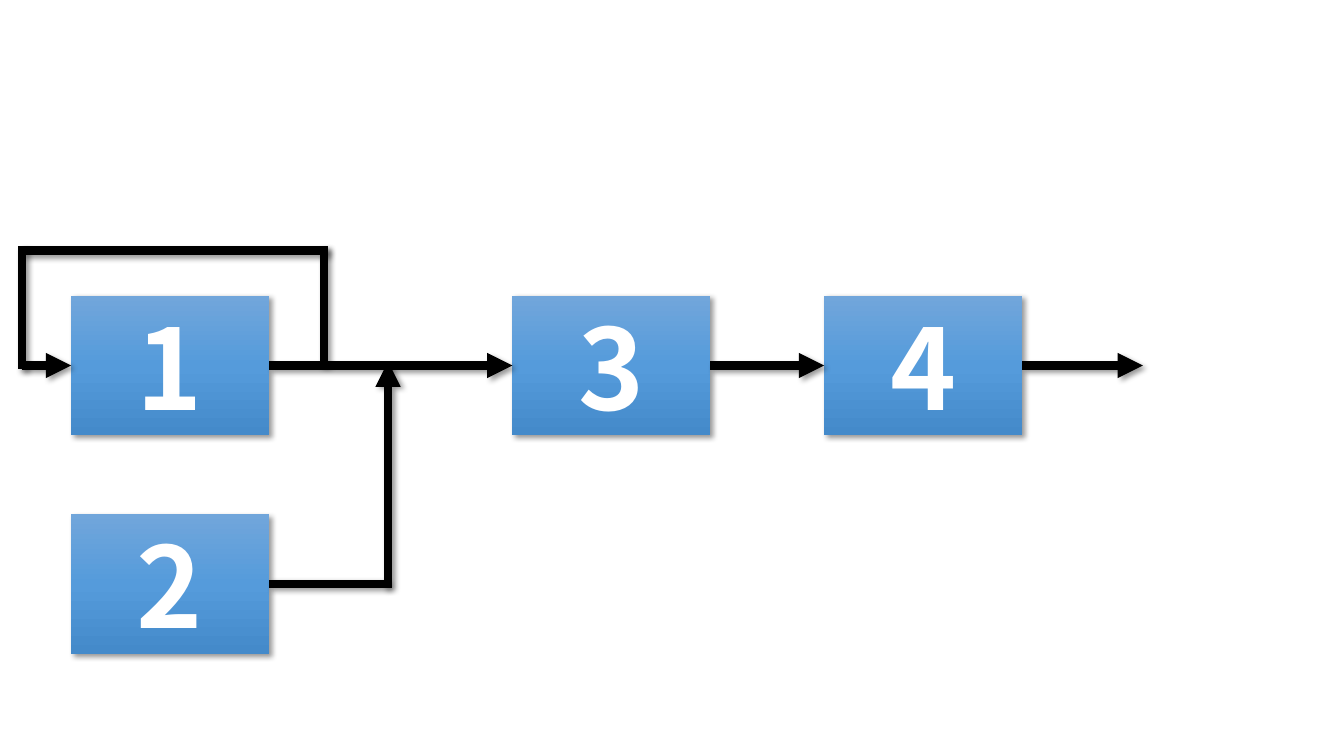
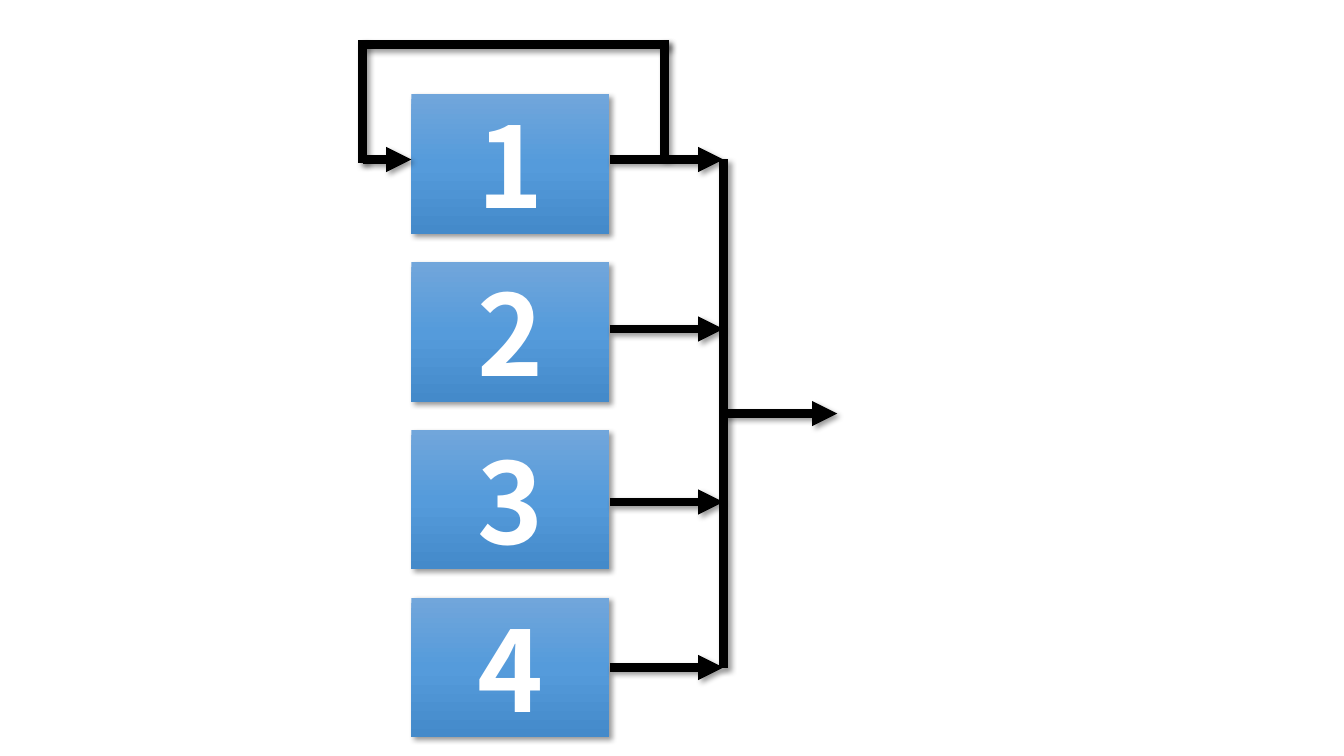
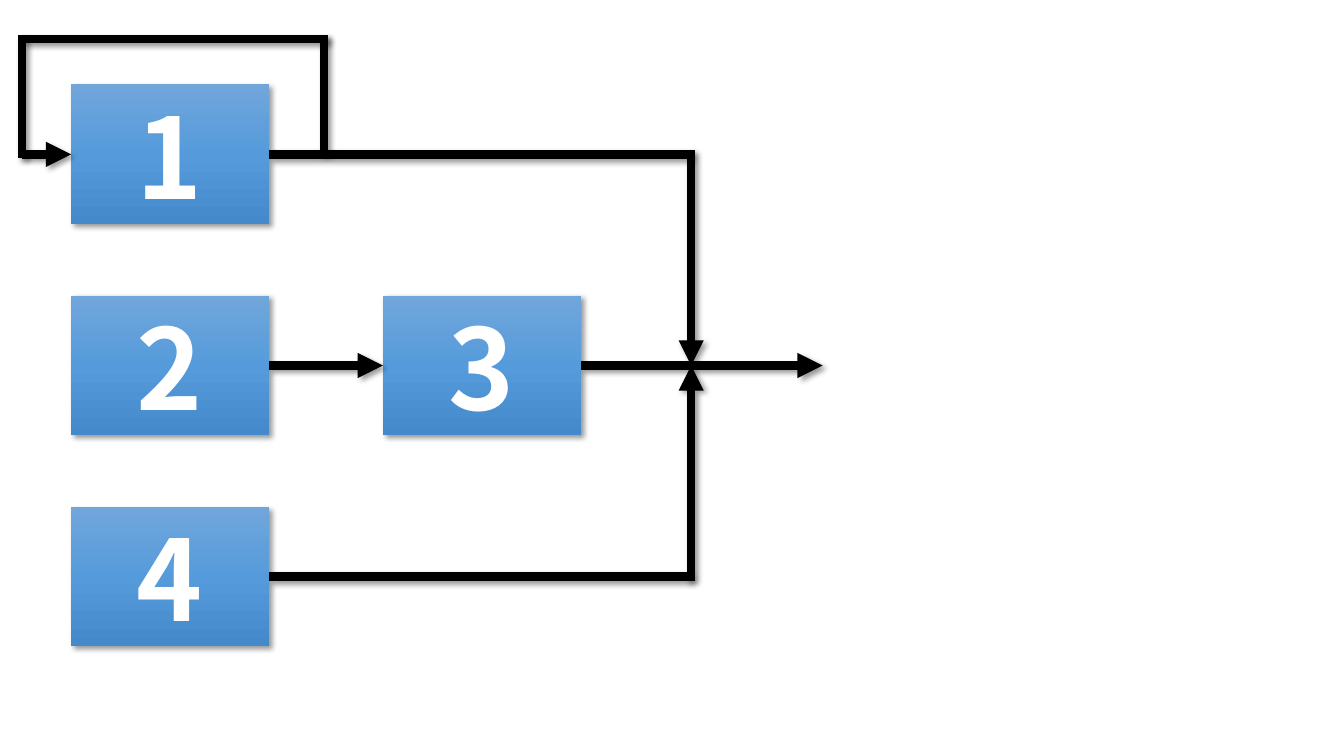
from copy import deepcopy
from dataclasses import dataclass

from lxml.etree import SubElement
from pptx import Presentation
from pptx.dml.color import RGBColor
from pptx.enum.shapes import MSO_CONNECTOR, MSO_SHAPE
from pptx.enum.text import MSO_ANCHOR, PP_ALIGN
from pptx.oxml.ns import qn
from pptx.util import Cm, Pt


@dataclass(frozen=True)
class Theme:
    # Colours and type
    gradient: tuple = ("71A6DB", "559BDB", "448ACA")
    line: str = "000000"
    text: str = "FFFFFF"
    font: str = "Noto Sans CJK JP"
    number_size: int = 80
    line_width: int = 6
    # Lengths in centimetres
    box_width: float = 4.99
    box_height: float = 3.52
    gap: float = 2.87
    corner: float = 0.1
    loop_left: float = 1.23
    loop_right: float = 6.38
    loop_height: float = 2.9


class FlowDeck:
    def __init__(self, theme):
        self.theme = theme
        self.deck = Presentation()
        self.deck.slide_width, self.deck.slide_height = Cm(33.87), Cm(19.05)
        self.page = None

    def new_page(self):
        self.page = self.deck.slides.add_slide(self.deck.slide_layouts[6])

    def add_shadow(self, properties):
        effects = SubElement(properties, qn("a:effectLst"))
        shadow = SubElement(effects, qn("a:outerShdw"), blurRad=str(Pt(4)),
                            dist=str(Pt(3)), dir="2700000", algn="tl", rotWithShape="0")
        color = SubElement(shadow, qn("a:srgbClr"), val=self.theme.line)
        SubElement(color, qn("a:alpha"), val="40000")

    def fill_gradient(self, box):
        box.fill.gradient()
        box.fill.gradient_angle = 270
        stop_list = box._element.spPr.find(".//" + qn("a:gsLst"))
        stop_list.append(deepcopy(stop_list[-1]))
        for index, stop in enumerate(box.fill.gradient_stops):
            stop.position = index / 2
            stop.color.rgb = RGBColor.from_string(self.theme.gradient[index])

    def box(self, number, left, top):
        theme = self.theme
        box = self.page.shapes.add_shape(MSO_SHAPE.RECTANGLE, Cm(left), Cm(top),
                                         Cm(theme.box_width), Cm(theme.box_height))
        self.fill_gradient(box)
        box.line.fill.background()
        self.add_shadow(box._element.spPr)
        box.text_frame.vertical_anchor = MSO_ANCHOR.MIDDLE
        para = box.text_frame.paragraphs[0]
        para.alignment = PP_ALIGN.CENTER
        span = para.add_run()
        span.text = str(number)
        span.font.name = theme.font
        span.font.size = Pt(theme.number_size)
        span.font.bold = True
        span.font.color.rgb = RGBColor.from_string(theme.text)

    def line(self, x1, y1, x2, y2, arrow=False):
        line = self.page.shapes.add_connector(MSO_CONNECTOR.STRAIGHT,
                                              Cm(x1), Cm(y1), Cm(x2), Cm(y2))
        line.line.color.rgb = RGBColor.from_string(self.theme.line)
        line.line.width = Pt(self.theme.line_width)
        if arrow:
            SubElement(line.line._get_or_add_ln(), qn("a:tailEnd"), type="triangle")
        self.add_shadow(line._element.spPr)

    def arrow(self, x1, y1, x2, y2):
        self.line(x1, y1, x2, y2, arrow=True)

    def loop(self, box_left, y):
        """Feedback path from a box's output back over it to its input."""
        theme = self.theme
        left, right = box_left - theme.loop_left, box_left + theme.loop_right
        top = y - theme.loop_height
        self.line(right, y, right, top - theme.corner)
        self.line(right + theme.corner, top, left, top)
        self.line(left, top - theme.corner, left, y + theme.corner)
        self.arrow(left, y, box_left, y)


THEME = Theme()
LEFT = 1.79
LEFT_END = LEFT + THEME.box_width
PITCH = THEME.box_width + THEME.gap
HALF = THEME.box_height / 2
MIDDLE_TOP = 7.45
MIDDLE = MIDDLE_TOP + HALF


def series_page(flow):
    flow.new_page()
    # Boxes
    third, fourth = 12.91, 12.91 + PITCH
    second_top = 12.95
    for number, left, top in ((1, LEFT, MIDDLE_TOP), (3, third, MIDDLE_TOP),
                              (4, fourth, MIDDLE_TOP), (2, LEFT, second_top)):
        flow.box(number, left, top)
    # Main path
    flow.loop(LEFT, MIDDLE)
    for start, end in ((LEFT_END, third), (third + THEME.box_width, fourth),
                       (fourth + THEME.box_width, 28.8)):
        flow.arrow(start, MIDDLE, end, MIDDLE)
    # Branch joining from box 2
    join, branch = 9.78, second_top + HALF
    flow.line(LEFT_END, branch, join, branch)
    flow.arrow(join, branch + THEME.corner, join, MIDDLE - THEME.corner)


def parallel_page(flow):
    flow.new_page()
    left, first_top, row_pitch = 10.37, 2.37, 4.23
    output, bus = left + THEME.box_width, left + PITCH
    outputs = (4.02, 8.29, 12.65, 16.82)
    # Boxes
    for row in range(len(outputs)):
        flow.box(row + 1, left, first_top + row * row_pitch)
    # Shared output line
    flow.line(bus, outputs[-1], bus, outputs[0])
    for y in outputs:
        flow.arrow(output, y, bus, y)
    flow.loop(left, outputs[0])
    flow.arrow(bus, 10.42, bus + THEME.gap, 10.42)


def mixed_page(flow):
    flow.new_page()
    row_pitch, third, join = 5.32, LEFT + PITCH, 17.42
    # Boxes
    for number, row in ((1, -1), (2, 0), (4, 1)):
        flow.box(number, LEFT, MIDDLE_TOP + row * row_pitch)
    flow.box(3, third, MIDDLE_TOP)
    # Outer branches meet the middle path
    flow.loop(LEFT, MIDDLE - row_pitch)
    for side in (-1, 1):
        y = MIDDLE + side * row_pitch
        flow.line(LEFT_END, y, join, y)
        flow.arrow(join, y + side * THEME.corner, join, MIDDLE)
    # Middle path
    flow.arrow(LEFT_END, MIDDLE, third, MIDDLE)
    flow.arrow(third + THEME.box_width, MIDDLE, 20.73, MIDDLE)


def main():
    flow = FlowDeck(THEME)
    series_page(flow)
    parallel_page(flow)
    mixed_page(flow)
    flow.deck.save("out.pptx")


if __name__ == "__main__":
    main()
